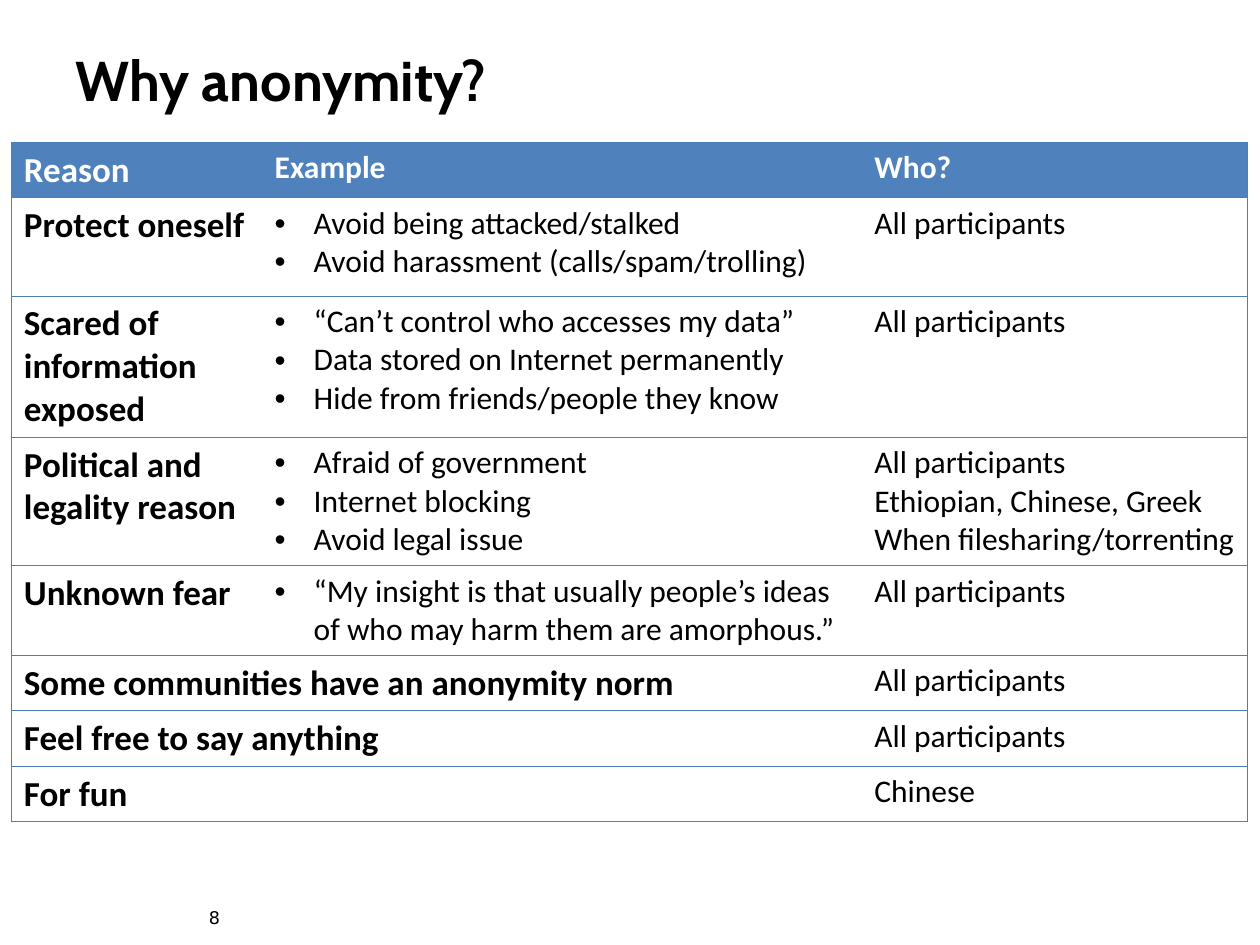
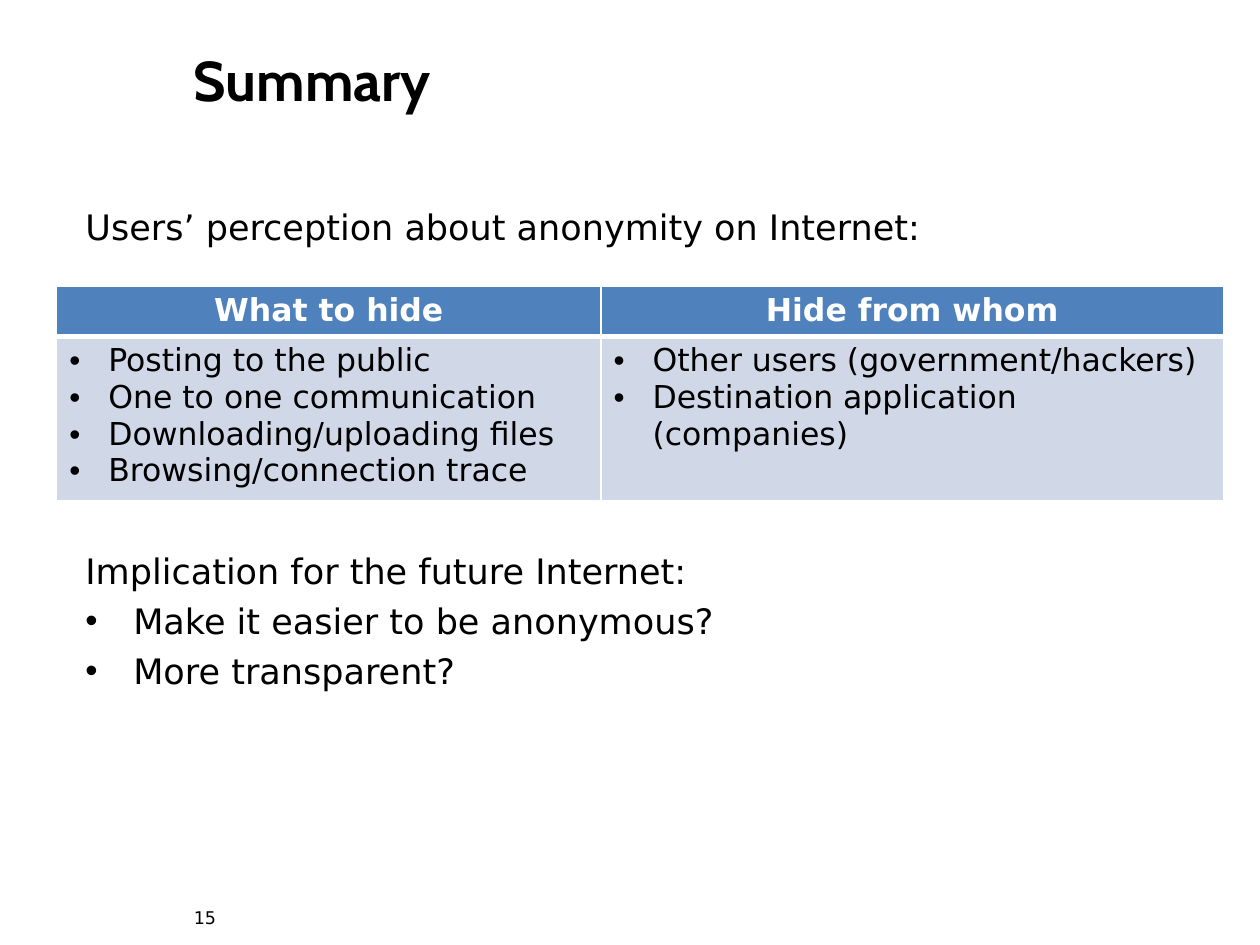
from lxml.etree import SubElement
from pptx import Presentation
from pptx.dml.color import RGBColor
from pptx.enum.text import MSO_ANCHOR, PP_ALIGN
from pptx.oxml.ns import qn
from pptx.util import Inches, Pt

# Shared look
BLACK, WHITE = "000000", "FFFFFF"
HEADER_BLUE, RULE_BLUE, PALE_BLUE = "4F81BD", "4B7EBC", "D0D8E8"
TITLE_FONT, BODY_FONT, GRID_FONT = "Cabin", "DejaVu Sans", "Calibri"
PAGE_WIDTH, PAGE_HEIGHT = 10, 7.5
TITLE_RIGHT, TITLE_HEIGHT = 9.5, PAGE_HEIGHT / 6
BODY_PITCH, BODY_GAP = 28, 4.7  # points: line to line, space before

REASONS = [
    ("Protect oneself",
     ["Avoid being attacked/stalked", "Avoid harassment (calls/spam/trolling)"],
     ["All participants"]),
    ("Scared of information exposed",
     ["“Can’t control who accesses my data”",
      "Data stored on Internet permanently",
      "Hide from friends/people they know"],
     ["All participants"]),
    ("Political and legality reason",
     ["Afraid of government", "Internet blocking", "Avoid legal issue"],
     ["All participants", "Ethiopian, Chinese, Greek", "When filesharing/torrenting"]),
    ("Unknown fear",
     ["“My insight is that usually people’s ideas of who may harm them are amorphous.”"],
     ["All participants"]),
    ("Some communities have an anonymity norm", None, ["All participants"]),
    ("Feel free to say anything", None, ["All participants"]),
    ("For fun", None, ["Chinese"]),
]

HIDING = {
    "What to hide": ["Posting to the public", "One to one communication",
                     "Downloading/uploading files", "Browsing/connection trace"],
    "Hide from whom": ["Other users (government/hackers)",
                       "Destination application (companies)"],
}


def color(hex_string):
    return RGBColor.from_string(hex_string)


# Text
def add_bullet(para, indent):
    properties = para._p.get_or_add_pPr()
    properties.set("marL", str(Inches(indent)))
    properties.set("indent", str(-Inches(indent)))
    SubElement(properties, qn("a:buFont"), typeface="Arial")
    SubElement(properties, qn("a:buChar"), char="•")


def write(frame, lines, size, font, ink=BLACK, bold=False, bullet=0, align=PP_ALIGN.LEFT):
    """Add lines to a frame, using its first paragraph while that is empty."""
    for line in lines:
        para = frame.paragraphs[0] if not frame.text else frame.add_paragraph()
        para.text = line
        para.alignment = align
        if bullet:
            add_bullet(para, bullet)
        para.font.size, para.font.name, para.font.bold = Pt(size), font, bold
        para.font.color.rgb = color(ink)


def add_box(page, left, top, width, height, anchor=MSO_ANCHOR.MIDDLE):
    box = page.shapes.add_textbox(Inches(left), Inches(top), Inches(width), Inches(height))
    frame = box.text_frame
    frame.word_wrap = True
    frame.vertical_anchor = anchor
    return frame


def add_title(page, text, left):
    frame = add_box(page, left, 0, TITLE_RIGHT - left, TITLE_HEIGHT)
    write(frame, [text], 32, TITLE_FONT, bold=True)


def add_page_number(page, number, left):
    write(add_box(page, left, 7.17, 2.33, 0.22), [str(number)], 10, BODY_FONT)


# Tables
def add_grid(page, left, top, columns, rows):
    frame = page.shapes.add_table(len(rows), len(columns), Inches(left), Inches(top),
                                  Inches(sum(columns)), Inches(sum(rows)))
    table = frame.table
    table.horz_banding = False
    for column, width in zip(table.columns, columns):
        column.width = Inches(width)
    for row, height in zip(table.rows, rows):
        row.height = Inches(height)
    return table


def style_cell(cell, fill, borders):
    """Borders map L, R, T, B to (colour, points); a missing side has no line."""
    properties = cell._tc.get_or_add_tcPr()
    for side in "LRTB":
        if side in borders:
            ink, points = borders[side]
            line = SubElement(properties, qn(f"a:ln{side}"), w=str(Pt(points)))
            solid = SubElement(line, qn("a:solidFill"))
            SubElement(solid, qn("a:srgbClr"), val=ink)
        else:
            line = SubElement(properties, qn(f"a:ln{side}"), w="0")
            SubElement(line, qn("a:noFill"))
    cell.fill.solid()
    cell.fill.fore_color.rgb = color(fill)


def add_reason_table(page):
    table = add_grid(page, 0.09, 1.13, [1.99, 4.76, 3.06],
                     [0.44, 0.78, 1.12, 1.02, 0.71, 0.44, 0.44, 0.44])
    sides = ["LTB", "TB", "RTB"]
    for row in range(len(table.rows)):
        for column, outline in enumerate(sides):
            style_cell(table.cell(row, column), WHITE if row else HEADER_BLUE,
                       {side: (RULE_BLUE, 0.75) for side in outline})

    for column, (heading, size) in enumerate([("Reason", 20), ("Example", 18), ("Who?", 18)]):
        write(table.cell(0, column).text_frame, [heading], size, GRID_FONT, WHITE, True)
    for row, (reason, examples, who) in enumerate(REASONS, start=1):
        first, second, third = (table.cell(row, column) for column in range(3))
        if examples:
            write(second.text_frame, examples, 18, GRID_FONT, bullet=0.31)
        else:
            first.merge(second)
        write(first.text_frame, [reason], 20, GRID_FONT, bold=True)
        write(third.text_frame, who, 18, GRID_FONT)


def add_hiding_table(page):
    table = add_grid(page, 0.45, 2.27, [4.32, 4.94], [0.4, 1.27])
    thin, thick = (WHITE, 1), (WHITE, 3)
    for column, (heading, items) in enumerate(HIDING.items()):
        head, body = table.cell(0, column), table.cell(1, column)
        style_cell(head, HEADER_BLUE, dict(L=thin, R=thin, T=thin, B=thick))
        style_cell(body, PALE_BLUE, dict(L=thin, R=thin, T=thick, B=thin))
        write(head.text_frame, [heading], 18, BODY_FONT, WHITE, True, align=PP_ALIGN.CENTER)
        write(body.text_frame, items, 18, BODY_FONT, bullet=0.31)


# Slides
def add_reasons_page(page):
    add_reason_table(page)
    add_page_number(page, 8, 1.56)
    add_title(page, "Why anonymity?", 0.5)


def add_summary_page(page):
    frame = add_box(page, 0.58, 1.58, 9, 6.83, MSO_ANCHOR.TOP)
    write(frame, ["Users’ perception about anonymity on Internet:",
                  "Implication for the future Internet:"], 20, BODY_FONT)
    write(frame, ["Make it easier to be anonymous?", "More transparent?"],
          20, BODY_FONT, bullet=0.38)
    for para in frame.paragraphs:
        para.space_before = Pt(BODY_GAP)
    # Room for the table: six lines
    frame.paragraphs[1].space_before = Pt(6 * BODY_PITCH + BODY_GAP)
    add_page_number(page, 15, 1.44)
    add_title(page, "Summary", 1.44)
    add_hiding_table(page)


def main():
    deck = Presentation()
    deck.slide_width, deck.slide_height = Inches(PAGE_WIDTH), Inches(PAGE_HEIGHT)
    blank = deck.slide_layouts[6]
    for build in (add_reasons_page, add_summary_page):
        build(deck.slides.add_slide(blank))
    deck.save("out.pptx")


main()
